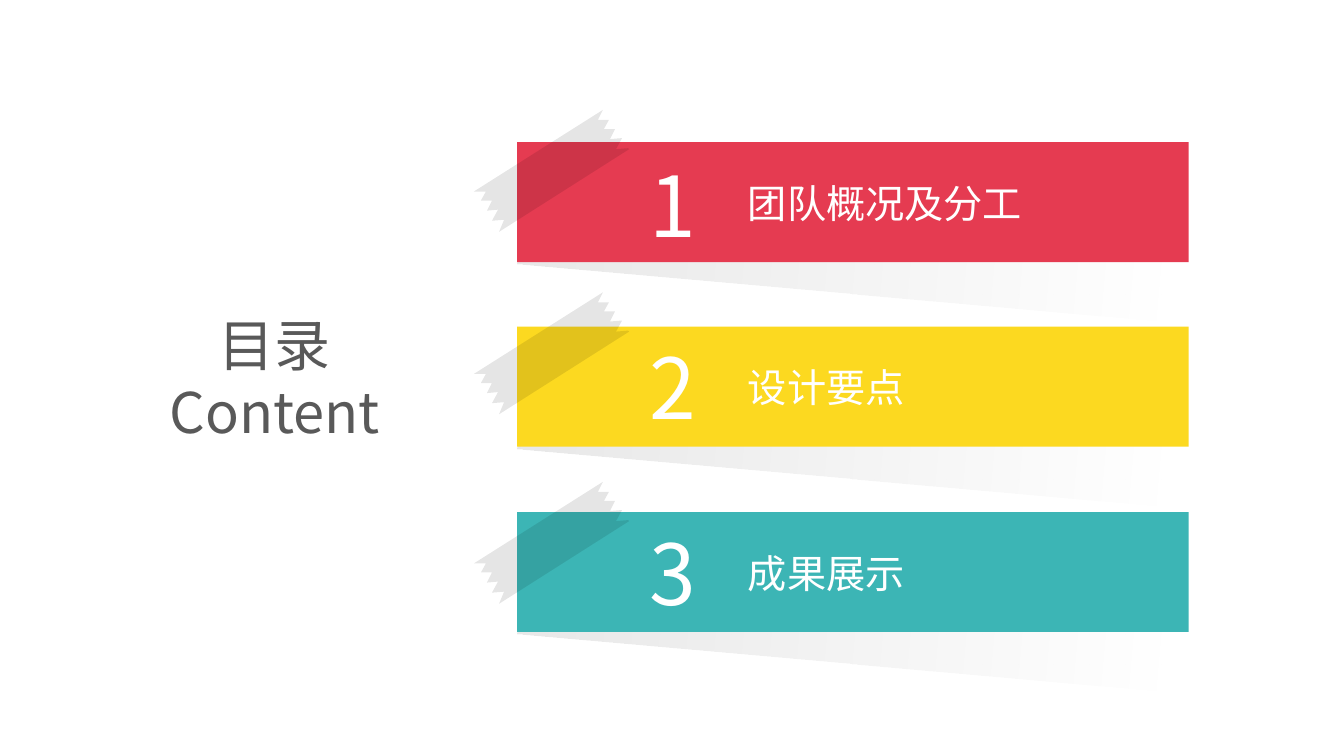
from lxml.etree import SubElement
from pptx import Presentation
from pptx.dml.color import RGBColor
from pptx.enum.shapes import MSO_SHAPE as Shape
from pptx.enum.text import MSO_AUTO_SIZE as AutoSize, PP_ALIGN as Align
from pptx.oxml.ns import qn
from pptx.util import Inches, Pt

TITLE = ["目录", "Content"]
# number, label, bar colour, then the tops of bar, tape and number
ROWS = [
    ("1", "团队概况及分工", "E53B51", 1.41, 1.09, 1.47),
    ("2", "设计要点", "FCD920", 3.24, 2.90, 3.28),
    ("3", "成果展示", "3CB5B5", 5.08, 4.78, 5.12),
]
THEME = {
    "title": {"size": 40, "font": "Noto Sans CJK JP", "color": "595959"},
    "number": {"size": 60, "font": "Noto Sans CJK JP", "color": "FFFFFF"},
    "label": {"size": 28, "font": "Noto Sans CJK SC", "color": "FFFFFF"},
    "shade": "000000",
    "shade_alpha": 10,
}
BAR_LEFT, BAR_WIDTH, BAR_HEIGHT = 5.13, 6.66, 1.19
SHADOW_SHIFT, SHADOW_TURN = (0.04, 0.32), 5.1
LABEL_DROP = 0.32
TAPE_LEFT = 4.7
# torn strip, measured from its own top left corner
TAPE = [
    (0, 0.81), (1.28, 0), (1.23, 0.1), (1.34, 0.1), (1.29, 0.19),
    (1.4, 0.19), (1.35, 0.29), (1.47, 0.28), (1.41, 0.39), (1.53, 0.38),
    (1.54, 0.39), (0.25, 1.21), (0.3, 1.09), (0.18, 1.1), (0.24, 0.99),
    (0.13, 1), (0.18, 0.9), (0.07, 0.9), (0.12, 0.81),
]


def add_alpha(color_element, percent):
    SubElement(color_element, qn("a:alpha"), val=str(percent * 1000))


def clean(shape):
    """Remove the default outline and shadow."""
    shape.shadow.inherit = False
    shape.line.fill.background()


def add_bar(page, left, top):
    bar = page.shapes.add_shape(
        Shape.RECTANGLE, Inches(left), Inches(top),
        Inches(BAR_WIDTH), Inches(BAR_HEIGHT))
    clean(bar)
    return bar


def add_fading_shadow(page, bar_top):
    across, down = SHADOW_SHIFT
    shadow = add_bar(page, BAR_LEFT + across, bar_top + down)
    shadow.rotation = SHADOW_TURN
    shadow.fill.gradient()
    shadow.fill.gradient_angle = 0
    for stop, alpha in zip(shadow.fill.gradient_stops, (THEME["shade_alpha"], 0)):
        stop.color.rgb = RGBColor.from_string(THEME["shade"])
    for color, alpha in zip(shadow._element.spPr.iter(qn("a:srgbClr")),
                            (THEME["shade_alpha"], 0)):
        add_alpha(color, alpha)


def add_tape(page, top):
    points = [(Inches(TAPE_LEFT + x), Inches(top + y)) for x, y in TAPE]
    builder = page.shapes.build_freeform(*points[0])
    builder.add_line_segments(points[1:], close=True)
    tape = builder.convert_to_shape()
    clean(tape)
    tape.fill.solid()
    tape.fill.fore_color.rgb = RGBColor.from_string(THEME["shade"])
    add_alpha(tape._element.spPr.find(".//" + qn("a:srgbClr")), THEME["shade_alpha"])


def add_text(page, lines, style, left, top, width, height, align=Align.LEFT):
    box = page.shapes.add_textbox(*map(Inches, (left, top, width, height)))
    frame = box.text_frame
    frame.word_wrap = True
    frame.auto_size = AutoSize.SHAPE_TO_FIT_TEXT
    look = THEME[style]
    for index, line in enumerate(lines):
        para = frame.paragraphs[0] if index == 0 else frame.add_paragraph()
        para.alignment = align
        span = para.add_run()
        span.text = line
        for name, value in {"size": Pt(look["size"]), "name": look["font"]}.items():
            setattr(span.font, name, value)
        span.font.color.rgb = RGBColor.from_string(look["color"])
        SubElement(span.font._element, qn("a:ea"), typeface=look["font"])


def main():
    deck = Presentation()
    deck.slide_width, deck.slide_height = Inches(13.33), Inches(7.5)
    page = deck.slides.add_slide(deck.slide_layouts[6])
    for number, label, color, bar_top, tape_top, number_top in ROWS:
        add_fading_shadow(page, bar_top)
        bar = add_bar(page, BAR_LEFT, bar_top)
        bar.fill.solid()
        bar.fill.fore_color.rgb = RGBColor.from_string(color)
        add_tape(page, tape_top)
        add_text(page, [number], "number", 6.34, number_top, 0.58, 1.11)
        add_text(page, [label], "label", 7.32, bar_top + LABEL_DROP, 4.17, 0.57)
    add_text(page, TITLE, "title", 1.28, 3.03, 2.89, 1.45, Align.CENTER)
    deck.save("out.pptx")


if __name__ == "__main__":
    main()
